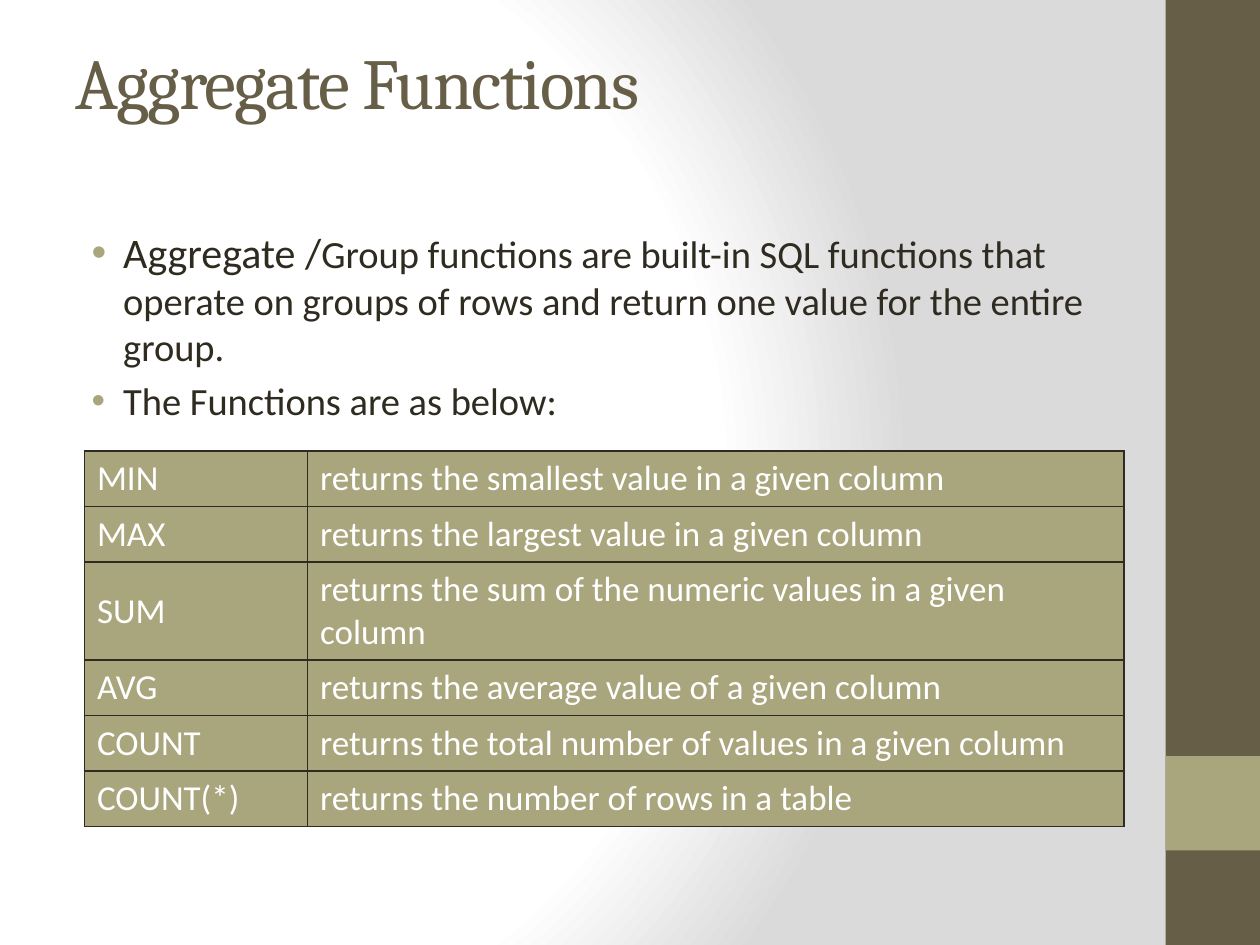
from pptx import Presentation
from pptx.dml.color import RGBColor
from pptx.enum.shapes import MSO_SHAPE
from pptx.enum.text import MSO_ANCHOR
from pptx.oxml import parse_xml
from pptx.oxml.ns import nsdecls
from pptx.util import Inches, Pt

RECT = MSO_SHAPE.RECTANGLE
MIDDLE = MSO_ANCHOR.MIDDLE

BROWN = RGBColor(0x67, 0x5E, 0x47)
SAGE = RGBColor(0xA9, 0xA5, 0x7C)
DARK = RGBColor(0x2F, 0x2B, 0x20)
WHITE = RGBColor(0xFF, 0xFF, 0xFF)
GREY = RGBColor(0xDA, 0xDA, 0xDA)


def write(para, text, size=22, font="Calibri", color=DARK, spacing=None):
    """Add a formatted run to a paragraph."""
    run = para.add_run()
    run.text = text
    run.font.size = Pt(size)
    run.font.name = font
    run.font.color.rgb = color
    if spacing is not None:
        run.font._element.set("spc", str(spacing * 100))


def solid(color):
    """Return the XML of a solid fill."""
    return f'<a:solidFill {nsdecls("a")}><a:srgbClr val="{color}"/></a:solidFill>'


prs = Presentation()
prs.slide_width, prs.slide_height = Inches(10), Inches(7.5)
slide = prs.slides.add_slide(prs.slide_layouts[6])

# Background glow
stops = "".join(
    f'<a:gs pos="{pos * 1000}"><a:srgbClr val="{color}"/></a:gs>'
    for pos, color in ((0, WHITE), (75, WHITE), (100, GREY)))
slide._element.cSld.insert(0, parse_xml(
    f'<p:bg {nsdecls("p", "a")}><p:bgPr><a:gradFill rotWithShape="1">'
    f'<a:gsLst>{stops}</a:gsLst><a:path path="circle">'
    '<a:fillToRect l="20000" t="50000" r="100000" b="50000"/></a:path>'
    '</a:gradFill><a:effectLst/></p:bgPr></p:bg>'))

# Side band
for top, height, color in ((0, 7.5, BROWN), (6, 0.75, SAGE)):
    band = slide.shapes.add_shape(
        RECT, Inches(9.25), Inches(top), Inches(0.75), Inches(height))
    band.shadow.inherit = False
    band.fill.solid()
    band.fill.fore_color.rgb = color
    band.line.fill.background()

# Title
title = slide.shapes.add_textbox(
    Inches(0.5), Inches(0.3), Inches(8.33), Inches(1.25)).text_frame
title.word_wrap = True
title.margin_top = 0
write(title.paragraphs[0], "Aggregate Functions",
      size=41, font="Cambria", color=BROWN, spacing=-1)

# Bullets
body = slide.shapes.add_textbox(
    Inches(0.5), Inches(1.75), Inches(8.33), Inches(5.25)).text_frame
body.word_wrap = True
intro, lead = body.paragraphs[0], body.add_paragraph()
write(intro, "Aggregate /", size=24)
write(intro, "Group functions are built-in SQL functions that operate on "
             "groups of rows and return one value for the entire group. ")
write(lead, "The Functions are as below:")
for para in (intro, lead):
    para.space_before = Pt(4.4)
    props = para._p.get_or_add_pPr()
    props.set("marL", str(Inches(0.38)))
    props.set("indent", str(Inches(-0.25)))
    for xml in (f'<a:buClr {nsdecls("a")}><a:srgbClr val="{SAGE}"/></a:buClr>',
                f'<a:buFont {nsdecls("a")} typeface="Arial"/>',
                f'<a:buChar {nsdecls("a")} char="•"/>'):
        props.append(parse_xml(xml))

# Function table
ROWS = (
    ("MIN", "returns the smallest value in a given column"),
    ("MAX", "returns the largest value in a given column"),
    ("SUM", "returns the sum of the numeric values in a given column"),
    ("AVG", "returns the average value of a given column"),
    ("COUNT", "returns the total number of values in a given column"),
    ("COUNT(*)", "returns the number of rows in a table"),
)
table = slide.shapes.add_table(
    len(ROWS), 2, Inches(0.67), Inches(3.58), Inches(8.25), Inches(2.98)).table
table.first_row = table.horz_banding = False
for col, width in zip(table.columns, (1.77, 6.48)):
    col.width = Inches(width)
for r, words in enumerate(ROWS):
    table.rows[r].height = Inches(0.78 if words[0] == "SUM" else 0.44)
    for c, text in enumerate(words):
        cell = table.cell(r, c)
        cell.vertical_anchor = MIDDLE
        write(cell.text_frame.paragraphs[0], text, size=20, color=WHITE)
        props = cell._tc.get_or_add_tcPr()
        for side in ("lnL", "lnR", "lnT", "lnB"):
            props.append(parse_xml(
                f'<a:{side} {nsdecls("a")} w="{Pt(1)}">{solid(DARK)}</a:{side}>'))
        cell.fill.solid()
        cell.fill.fore_color.rgb = SAGE

prs.save("out.pptx")
